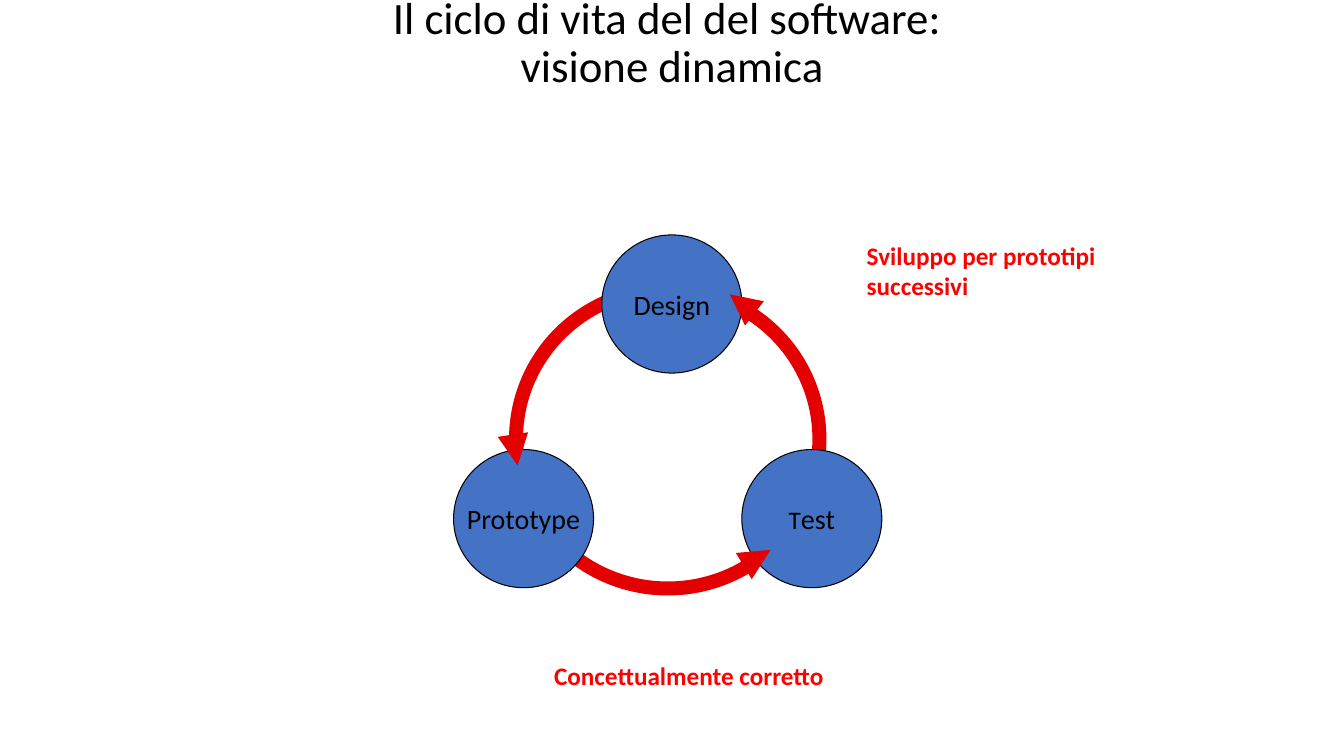
from dataclasses import dataclass

from pptx import Presentation
from pptx.dml.color import RGBColor
from pptx.enum.shapes import MSO_SHAPE as Preset
from pptx.enum.text import MSO_ANCHOR as Anchor, PP_ALIGN as Align
from pptx.shapes.autoshape import Shape
from pptx.slide import Slide
from pptx.text.text import TextFrame
from pptx.util import Pt

COLORS = {"text": "000000", "node": "4472C4", "cycle": "E40000", "note": "FF0000"}
FONT = "Calibri"
NODE_WIDTH, NODE_HEIGHT = 100, 98.7
ARROWHEAD_WIDTH, ARROWHEAD_HEIGHT = 21.9, 22.3


@dataclass(frozen=True)
class Box:
    left: float
    top: float
    width: float
    height: float


@dataclass(frozen=True)
class TextRun:
    text: str
    size: float


@dataclass(frozen=True)
class Node:
    left: float
    top: float
    runs: tuple[TextRun, ...]


@dataclass(frozen=True)
class Arrowhead:
    left: float
    top: float
    rotation: float


@dataclass(frozen=True)
class Label:
    box: Box
    lines: tuple[str, ...]
    size: float
    color: str
    bold: bool = False
    align: Align = Align.CENTER
    anchor: Anchor = Anchor.TOP
    line_spacing: float = 1.0


RING = Box(368.6, 206.6, 216.7, 213.8)
NODES = (
    Node(324, 321.1, (TextRun("Prototype", 20),)),
    Node(529.9, 321.1, (TextRun("T", 18), TextRun("est", 20))),
    Node(429.9, 167.8, (TextRun("Design", 20),)),
)
ARROWHEADS = (
    Arrowhead(357.1, 310.3, 171.4),
    Arrowhead(529.9, 387.4, 58.8),
    Arrowhead(519.1, 205.9, 307.6),
)
LABELS = (
    Label(Box(156.2, -13.7, 648, 90),
          ("Il ciclo di vita del del software: ", "visione dinamica"),
          32, "text", anchor=Anchor.MIDDLE, line_spacing=0.9),
    Label(Box(612, 167.8, 198, 51.1), ("Sviluppo per prototipi successivi",),
          18, "note", bold=True, align=Align.LEFT),
    Label(Box(192, 468, 600, 28.8), ("Concettualmente corretto",),
          18, "note", bold=True),
)


def rgb(name: str) -> RGBColor:
    return RGBColor.from_string(COLORS[name])


def lengths(box: Box) -> tuple[Pt, ...]:
    return Pt(box.left), Pt(box.top), Pt(box.width), Pt(box.height)


def add_run(paragraph, text: str, size: float, color: str, bold: bool = False) -> None:
    run = paragraph.add_run()
    run.text = text
    run.font.name = FONT
    run.font.size = Pt(size)
    run.font.bold = bold
    run.font.color.rgb = rgb(color)


def add_preset(slide: Slide, preset: Preset, box: Box, fill: str | None = None,
               line: str | None = None, line_width: float = 0.75) -> Shape:
    """Add a shadowless shape; without a colour, its fill or line is empty."""
    shape = slide.shapes.add_shape(preset, *lengths(box))
    shape.shadow.inherit = False
    if fill:
        shape.fill.solid()
        shape.fill.fore_color.rgb = rgb(fill)
    else:
        shape.fill.background()
    if line:
        shape.line.color.rgb = rgb(line)
        shape.line.width = Pt(line_width)
    else:
        shape.line.fill.background()
    return shape


def add_node(slide: Slide, node: Node) -> None:
    box = Box(node.left, node.top, NODE_WIDTH, NODE_HEIGHT)
    shape = add_preset(slide, Preset.OVAL, box, "node", "text")
    frame: TextFrame = shape.text_frame
    frame.word_wrap = False
    frame.vertical_anchor = Anchor.MIDDLE
    paragraph = frame.paragraphs[0]
    paragraph.alignment = Align.CENTER
    for run in node.runs:
        add_run(paragraph, run.text, run.size, "text")


def add_arrowhead(slide: Slide, head: Arrowhead) -> None:
    box = Box(head.left, head.top, ARROWHEAD_WIDTH, ARROWHEAD_HEIGHT)
    shape = add_preset(slide, Preset.ISOSCELES_TRIANGLE, box, "cycle")
    shape.rotation = head.rotation


def add_label(slide: Slide, label: Label) -> None:
    frame = slide.shapes.add_textbox(*lengths(label.box)).text_frame
    frame.word_wrap = True
    frame.vertical_anchor = label.anchor
    paragraph = frame.paragraphs[0]
    paragraph.alignment = label.align
    paragraph.line_spacing = label.line_spacing
    for index, line in enumerate(label.lines):
        if index:
            paragraph.add_line_break()
        add_run(paragraph, line, label.size, label.color, label.bold)


def main() -> None:
    presentation = Presentation()
    presentation.slide_width, presentation.slide_height = Pt(960), Pt(540)
    slide = presentation.slides.add_slide(presentation.slide_layouts[6])
    add_preset(slide, Preset.OVAL, RING, line="cycle", line_width=10)
    for node in NODES:
        add_node(slide, node)
    for head in ARROWHEADS:
        add_arrowhead(slide, head)
    for label in LABELS:
        add_label(slide, label)
    presentation.save("out.pptx")


if __name__ == "__main__":
    main()
